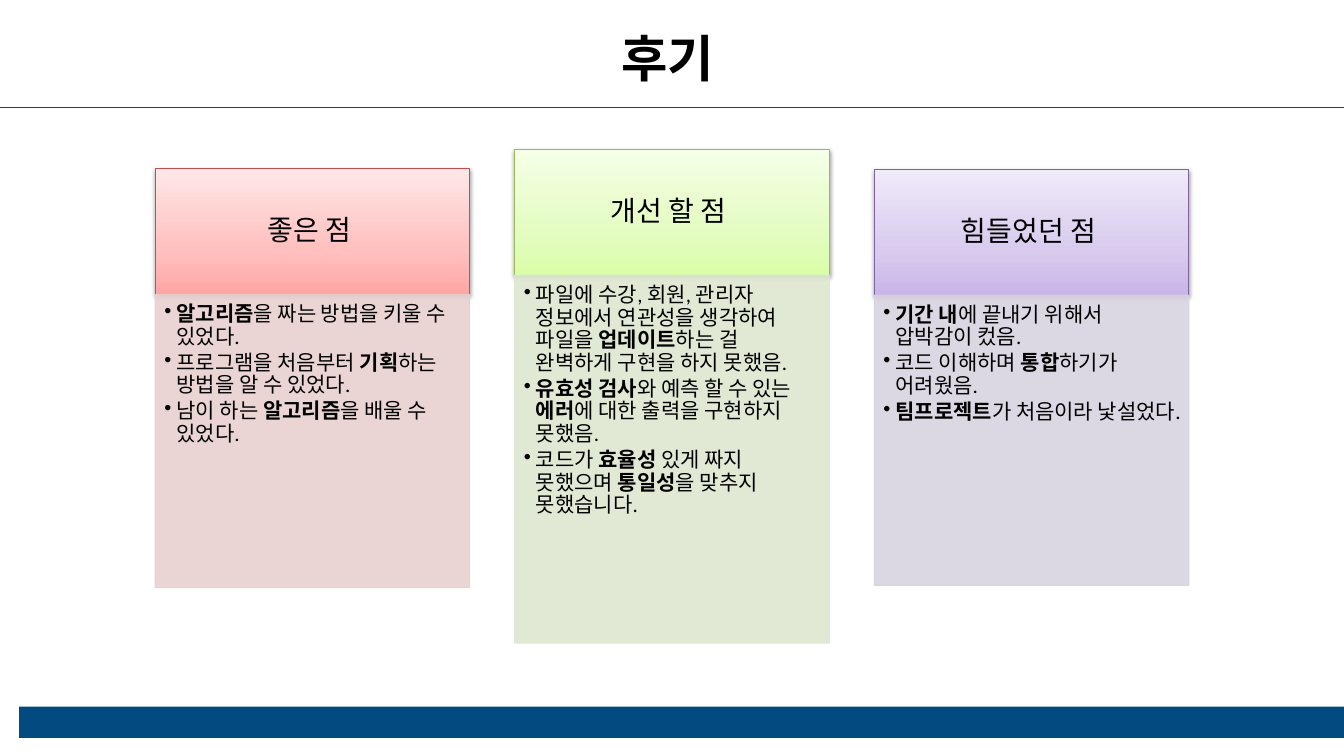
from dataclasses import dataclass

from lxml.etree import SubElement
from pptx import Presentation
from pptx.dml.color import RGBColor
from pptx.enum.dml import MSO_FILL
from pptx.enum.shapes import MSO_CONNECTOR, MSO_SHAPE
from pptx.enum.text import MSO_ANCHOR, PP_ALIGN
from pptx.oxml import parse_xml
from pptx.oxml.ns import nsdecls, qn
from pptx.shapes.autoshape import Shape
from pptx.slide import Slide
from pptx.text.text import TextFrame, _Paragraph as Paragraph
from pptx.util import Emu, Inches, Pt

SLIDE_WIDTH = Inches(13.333)
SLIDE_HEIGHT = Inches(7.5)
FONT = "Calibri"
NAVY = "024B80"
BLACK = "000000"

FIRST_CARD = 11.55
CARD_PITCH = 26.75
CARD_WIDTH = 23.4
HEADER_HEIGHT = 16.67


@dataclass(frozen=True)
class Card:
    title: str
    top: float
    body_height: float
    gradient: tuple[str, str, str]
    outline: str
    tint: str
    points: tuple[str, ...]


CARDS = (
    Card("좋은 점 ", 22.27, 38.8, ("FFA6A5", "FFC0BF", "FFE7E7"), "C0504D", "E8D0D0", (
        "*알고리즘*을 짜는 방법을 키울 수 있었다.",
        "프로그램을 처음부터 *기획*하는 방법을 알 수 있었다.",
        "남이 하는 *알고리즘*을 배울 수 있었다.",
    )),
    Card("개선 할 점 ", 19.73, 48.67, ("DAFDA7", "E4FCC2", "F5FFE7"), "9BBB59", "DEE7D1", (
        "파일에 수강, 회원, 관리자 정보에서 연관성을 생각하여 파일을 *업데이트*하는 걸 "
        "완벽하게 구현을 하지 못했음.",
        "*유효성 검사*와 예측 할 수 있는 *에러*에 대한 출력을 구현하지 못했음.",
        "코드가 *효율성* 있게 짜지 못했으며 *통일성*을 맞추지 못했습니다.",
    )),
    Card("힘들었던 점 ", 22.36, 38.4, ("C9B5E8", "D8CBEE", "F0EAF9"), "8064A2", "D8D3E0", (
        "*기간 내*에 끝내기 위해서 압박감이 컸음.",
        "코드 이해하며 *통합*하기가 어려웠음.",
        "*팀프로젝트*가 처음이라 낯설었다.",
    )),
)


def across(percent: float) -> Emu:
    return Emu(round(SLIDE_WIDTH * percent / 100))


def down(percent: float) -> Emu:
    return Emu(round(SLIDE_HEIGHT * percent / 100))


def colour(hex_code: str) -> RGBColor:
    return RGBColor.from_string(hex_code)


def add_rectangle(slide: Slide, left: float, top: float, width: float, height: float) -> Shape:
    shape = slide.shapes.add_shape(
        MSO_SHAPE.RECTANGLE, across(left), down(top), across(width), down(height))
    shape.shadow.inherit = False
    return shape


def set_margins(frame: TextFrame, left: float, top: float, right: float, bottom: float) -> None:
    frame.word_wrap = True
    frame.margin_left, frame.margin_top = Inches(left), Inches(top)
    frame.margin_right, frame.margin_bottom = Inches(right), Inches(bottom)


def add_run(paragraph: Paragraph, text: str, size: float, bold: bool = False) -> None:
    run = paragraph.add_run()
    run.text = text
    run.font.name = FONT
    run.font.size = Pt(size)
    run.font.bold = bold
    run.font.color.rgb = colour(BLACK)


def fill_gradient(shape: Shape, colours: tuple[str, str, str]) -> None:
    stops = "".join(
        f'<a:gs pos="{position}"><a:srgbClr val="{code}"/></a:gs>'
        for position, code in zip((0, 35000, 100000), colours))
    gradient = parse_xml(
        f'<a:gradFill {nsdecls("a")} rotWithShape="1"><a:gsLst>{stops}</a:gsLst>'
        '<a:lin ang="16200000" scaled="0"/></a:gradFill>')
    shape._element.spPr.find(qn("a:prstGeom")).addnext(gradient)


def add_shadow(shape: Shape) -> None:
    effects = shape._element.spPr.find(qn("a:effectLst"))
    shadow = SubElement(effects, qn("a:outerShdw"), blurRad="40000", dist="20000",
                        dir="5400000", rotWithShape="0")
    shade = SubElement(shadow, qn("a:srgbClr"), val=BLACK)
    SubElement(shade, qn("a:alpha"), val="38000")


def add_header(slide: Slide, card: Card, left: float) -> None:
    header = add_rectangle(slide, left, card.top, CARD_WIDTH, HEADER_HEIGHT)
    header.line.color.rgb = colour(card.outline)
    header.line.width = Pt(0.75)
    fill_gradient(header, card.gradient)
    add_shadow(header)
    frame = header.text_frame
    set_margins(frame, 0.16, 0.09, 0.16, 0.09)
    frame.vertical_anchor = MSO_ANCHOR.MIDDLE
    paragraph = frame.paragraphs[0]
    paragraph.alignment = PP_ALIGN.CENTER
    paragraph.line_spacing = 0.9
    paragraph.space_after = Pt(7)
    add_run(paragraph, card.title, 20)


def add_point(paragraph: Paragraph, point: str) -> None:
    properties = paragraph._p.get_or_add_pPr()
    properties.set("marL", str(Inches(0.12)))
    properties.set("indent", str(-Inches(0.12)))
    SubElement(properties, qn("a:buChar"), char="•")
    paragraph.level = 1
    paragraph.alignment = PP_ALIGN.LEFT
    paragraph.line_spacing = 0.9
    paragraph.space_after = Pt(2.25)
    for index, text in enumerate(point.split("*")):
        if text:
            add_run(paragraph, text, 15, bold=index % 2 == 1)


def add_body(slide: Slide, card: Card, left: float) -> None:
    body = add_rectangle(slide, left, card.top + HEADER_HEIGHT, CARD_WIDTH, card.body_height)
    body.fill.solid()
    body.fill.fore_color.rgb = colour(card.tint)
    body.line.color.rgb = colour(card.tint)
    body.line.width = Pt(0.75)
    for shade in body._element.spPr.iter(qn("a:srgbClr")):
        SubElement(shade, qn("a:alpha"), val="90000")
    frame = body.text_frame
    set_margins(frame, 0.09, 0.09, 0.12, 0.13)
    frame.vertical_anchor = MSO_ANCHOR.TOP
    for index, point in enumerate(card.points):
        add_point(frame.add_paragraph() if index else frame.paragraphs[0], point)


def add_frame(slide: Slide) -> None:
    bar = add_rectangle(slide, 1.43, 93.47, 98.57, 4.13)
    bar.fill.solid()
    bar.fill.fore_color.rgb = colour(NAVY)
    bar.line.fill.background()
    rule = slide.shapes.add_connector(
        MSO_CONNECTOR.STRAIGHT, across(0), down(14.27), across(100), down(14.27))
    rule.line.color.rgb = colour(NAVY)
    rule.line.width = Pt(0.75)
    SubElement(rule._element.spPr, qn("a:effectLst"))


def add_title(slide: Slide) -> None:
    title = slide.shapes.add_textbox(across(35.03), down(2.93), across(25.65), down(9.47))
    set_margins(title.text_frame, 0.58, 0.05, 0.1, 0.05)
    paragraph = title.text_frame.paragraphs[0]
    paragraph.alignment = PP_ALIGN.CENTER
    add_run(paragraph, "후기", 36, bold=True)


def main() -> None:
    presentation = Presentation()
    presentation.slide_width = SLIDE_WIDTH
    presentation.slide_height = SLIDE_HEIGHT
    slide = presentation.slides.add_slide(presentation.slide_layouts[6])
    add_frame(slide)
    add_title(slide)
    for column, card in enumerate(CARDS):
        left = FIRST_CARD + column * CARD_PITCH
        add_header(slide, card, left)
        add_body(slide, card, left)
    presentation.save("out.pptx")


if __name__ == "__main__":
    main()
